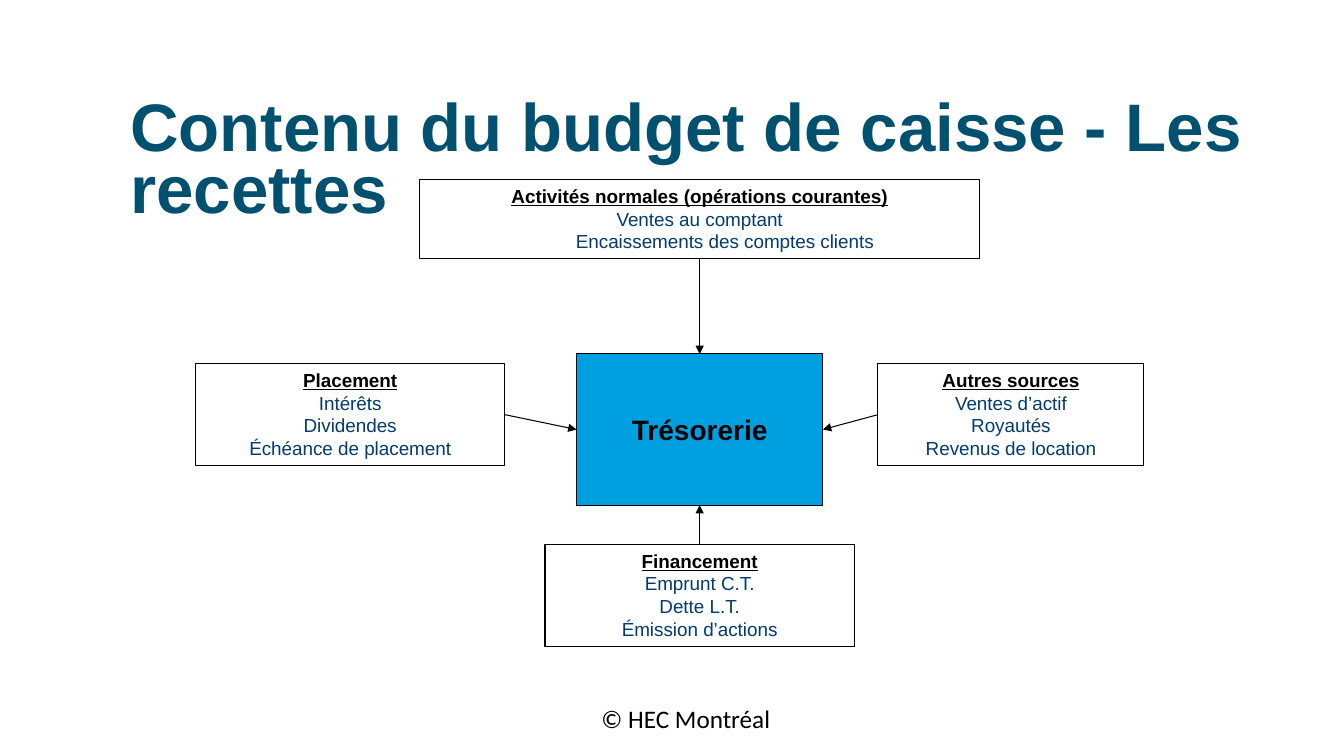
from lxml.etree import SubElement
from pptx import Presentation
from pptx.dml.color import RGBColor
from pptx.enum.shapes import MSO_CONNECTOR, MSO_SHAPE
from pptx.enum.text import MSO_ANCHOR, MSO_AUTO_SIZE, PP_ALIGN
from pptx.oxml.ns import qn
from pptx.util import Pt

COLORS = {"title": "005070", "cash": "009FDF", "item": "003C71", "ink": "000000"}
TOP, LEFT, BOTTOM, RIGHT = range(4)  # connection sites of a rectangle

# Heading, items, indented items, box, site of the source, site of the cash box
SOURCES = [
    ("Activités normales (opérations courantes)",
     ["Ventes au comptant", "Encaissements des comptes clients"], {1},
     (300, 128.2, 399.6, 56.2), BOTTOM, TOP),
    ("Placement", ["Intérêts", "Dividendes", "Échéance de placement"], set(),
     (139.7, 259.8, 221, 72.8), RIGHT, LEFT),
    ("Autres sources", ["Ventes d’actif", "Royautés", "Revenus de location"], set(),
     (627.1, 259.8, 190, 72.8), LEFT, RIGHT),
    ("Financement", ["Emprunt C.T.", "Dette L.T.", "Émission d’actions"], set(),
     (389.3, 388.8, 221, 72.8), TOP, BOTTOM),
]


def rgb(name):
    return RGBColor.from_string(COLORS[name])


def set_font(para, size, color, name="Arial", bold=False):
    font = para.font
    font.name, font.size, font.bold = name, Pt(size), bold
    font.color.rgb = rgb(color)


def add_title(page, box):
    title = page.shapes.title
    title.left, title.top, title.width, title.height = map(Pt, box)
    frame = title.text_frame
    frame.margin_left = frame.margin_right = frame.margin_top = frame.margin_bottom = 0
    frame.auto_size = MSO_AUTO_SIZE.NONE
    frame.vertical_anchor = MSO_ANCHOR.MIDDLE
    para = frame.paragraphs[0]
    para.text = "Contenu du budget de caisse - Les recettes"
    para.alignment = PP_ALIGN.LEFT
    para.line_spacing = Pt(44)
    set_font(para, 48, "title", bold=True)


def add_box(page, box):
    shape = page.shapes.add_shape(MSO_SHAPE.RECTANGLE, *map(Pt, box))
    shape.shadow.inherit = False
    shape.fill.background()
    shape.line.color.rgb = rgb("ink")
    shape.line.width = Pt(0.75)
    return shape


def add_cash(page, box):
    shape = add_box(page, box)
    shape.fill.solid()
    shape.fill.fore_color.rgb = rgb("cash")
    frame = shape.text_frame
    frame.word_wrap = False
    frame.vertical_anchor = MSO_ANCHOR.MIDDLE
    para = frame.paragraphs[0]
    para.text = "Trésorerie"
    para.alignment = PP_ALIGN.CENTER
    set_font(para, 20, "ink", bold=True)
    return shape


def add_source(page, heading, items, indented, box):
    shape = add_box(page, box)
    frame = shape.text_frame
    frame.word_wrap = True
    frame.auto_size = MSO_AUTO_SIZE.SHAPE_TO_FIT_TEXT
    frame.vertical_anchor = MSO_ANCHOR.TOP
    para = frame.paragraphs[0]
    para.text = heading
    para.alignment = PP_ALIGN.CENTER
    set_font(para, 13.5, "ink", bold=True)
    para.font.underline = True
    for index, item in enumerate(items):
        para = frame.add_paragraph()
        para.text = item
        para.alignment = PP_ALIGN.CENTER
        set_font(para, 13.5, "item")
        if index in indented:
            para.level = 1
            properties = para._p.get_or_add_pPr()
            properties.set("marL", str(Pt(36)))
            properties.set("indent", "0")
    return shape


def add_arrow(page, source, source_site, target, target_site):
    arrow = page.shapes.add_connector(MSO_CONNECTOR.STRAIGHT, 0, 0, 0, 0)
    arrow.begin_connect(source, source_site)
    arrow.end_connect(target, target_site)
    arrow.line.color.rgb = rgb("ink")
    arrow.line.width = Pt(0.75)
    SubElement(arrow.line._get_or_add_ln(), qn("a:tailEnd"), type="triangle")
    SubElement(arrow._element.spPr, qn("a:effectLst"))


def add_copyright(page, box):
    frame = page.shapes.add_textbox(*map(Pt, box)).text_frame
    frame.word_wrap = True
    frame.auto_size = MSO_AUTO_SIZE.SHAPE_TO_FIT_TEXT
    para = frame.paragraphs[0]
    para.text = "© HEC Montréal"
    set_font(para, 18, "ink", name="Calibri")


def main():
    deck = Presentation()
    deck.slide_width, deck.slide_height = Pt(960), Pt(540)
    page = deck.slides.add_slide(deck.slide_layouts[5])

    add_title(page, (93, 95.8, 818.6, 44.6))

    # Cash box in the middle, each source pointing to it
    cash = add_cash(page, (411.8, 252.8, 176, 108))
    for heading, items, indented, box, source_site, cash_site in SOURCES:
        source = add_source(page, heading, items, indented, box)
        add_arrow(page, source, source_site, cash, cash_site)

    add_copyright(page, (422.6, 499, 139.7, 29))
    deck.save("out.pptx")


if __name__ == "__main__":
    main()
